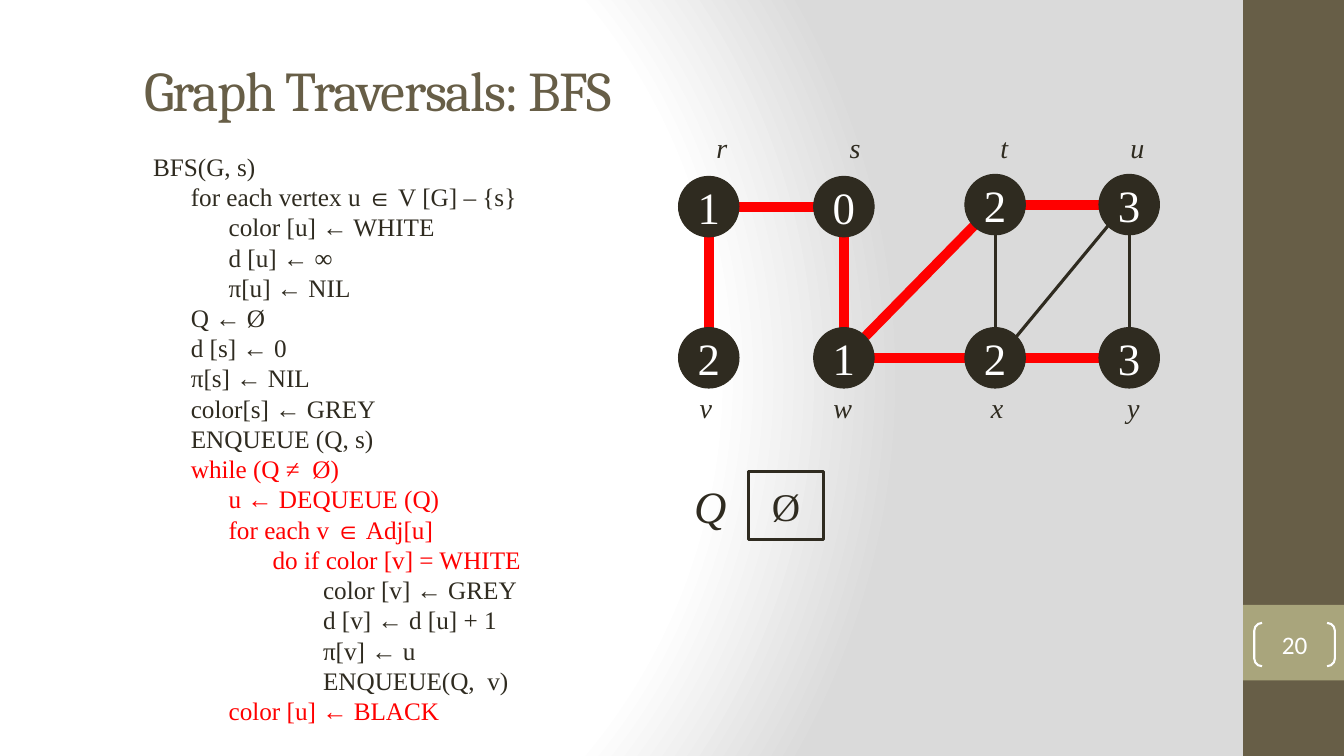
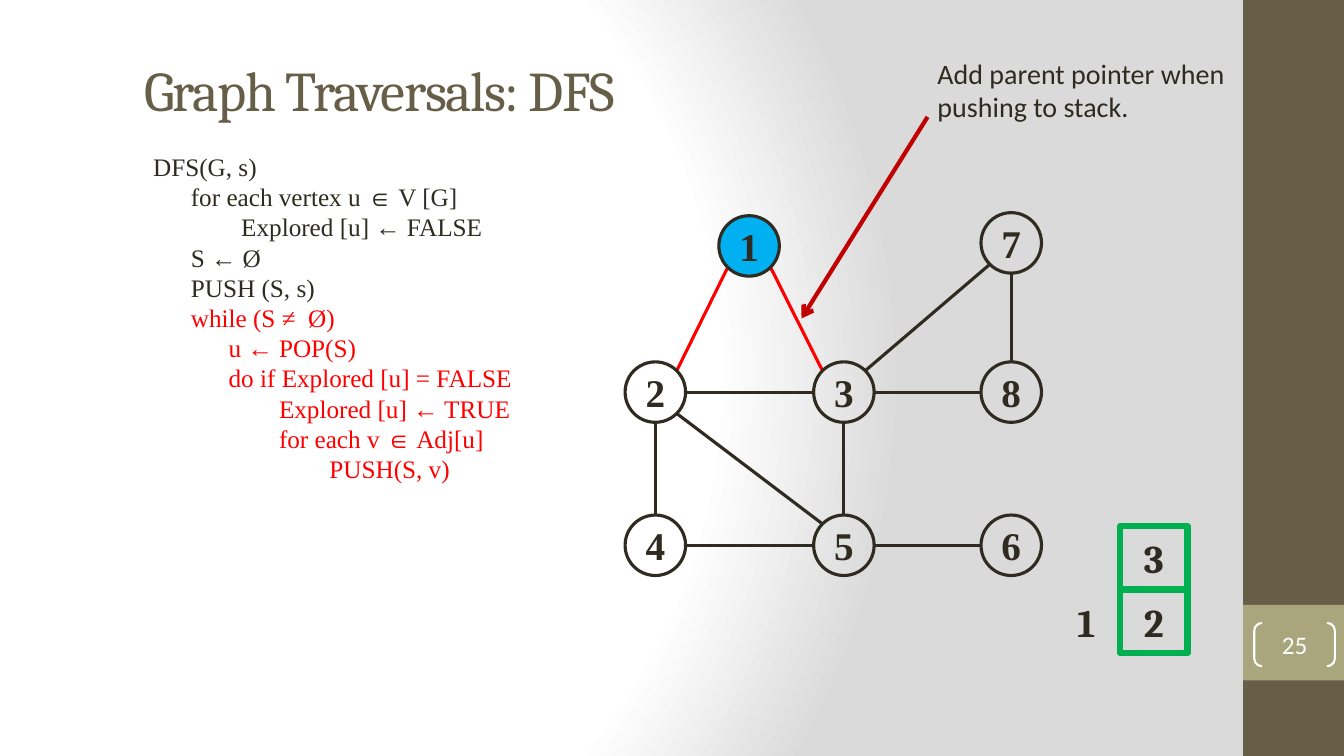
from math import atan2, cos, pi, sin

from lxml.etree import SubElement
from pptx import Presentation
from pptx.dml.color import RGBColor
from pptx.enum.shapes import MSO_CONNECTOR, MSO_SHAPE
from pptx.enum.text import MSO_ANCHOR, PP_ALIGN
from pptx.oxml import parse_xml
from pptx.oxml.ns import nsdecls, qn
from pptx.util import Inches, Pt

INK = RGBColor(0x2F, 0x2B, 0x20)
BROWN = RGBColor(0x67, 0x5E, 0x47)
KHAKI = RGBColor(0xA9, 0xA5, 0x7C)
WHITE = RGBColor(0xFF, 0xFF, 0xFF)
RED = RGBColor(0xFF, 0x00, 0x00)
DARK_RED = RGBColor(0xC0, 0x00, 0x00)
BLUE = RGBColor(0x00, 0xB0, 0xF0)
GREEN = RGBColor(0x00, 0xB0, 0x50)

SERIF, SANS, HEAD = "Times New Roman", "Calibri", "Cambria"
NODE = 0.6  # diameter of a graph node

BACK = f"""<p:bg {nsdecls('p', 'a')}><p:bgPr><a:gradFill rotWithShape="1"><a:gsLst>
<a:gs pos="0"><a:srgbClr val="FFFFFF"/></a:gs>
<a:gs pos="75000"><a:srgbClr val="FFFFFF"/></a:gs>
<a:gs pos="100000"><a:srgbClr val="DADADA"/></a:gs></a:gsLst>
<a:path path="circle"><a:fillToRect l="20000" t="50000" r="100000" b="50000"/></a:path>
</a:gradFill><a:effectLst/></p:bgPr></p:bg>"""

# Pseudocode, in stretches of one colour
BFS = [(INK, """BFS(G, s)
      for each vertex u ∈ V [G] – {s}
            color [u] ← WHITE
            d [u] ← ∞
            π[u] ← NIL
      Q ← Ø
      d [s] ← 0
      π[s] ← NIL
      color[s] ← GREY
      ENQUEUE (Q, s)"""), (RED, """      while (Q ≠  Ø)
            u ← DEQUEUE (Q)
            for each v ∈ Adj[u]
                   do if color [v] = WHITE"""), (INK, """\
                           color [v] ← GREY
                           d [v] ← d [u] + 1
                           π[v] ← u
                           ENQUEUE(Q,  v)"""), (RED, """\
            color [u] ← BLACK""")]
DFS = [(INK, """DFS(G, s)
      for each vertex u ∈ V [G]
              Explored [u] ← FALSE
      S ← Ø
      PUSH (S, s)"""), (RED, """      while (S ≠  Ø)
            u ← POP(S)
            do if Explored [u] = FALSE
                    Explored [u] ← TRUE
                    for each v ∈ Adj[u]
                            PUSH(S, v)""")]


# Basic parts
def add_run(para, text, size, font=SERIF, color=INK, bold=False, ital=False):
    run = para.add_run()
    run.text = text
    face = run.font
    face.size, face.name, face.bold, face.italic = Pt(size), font, bold, ital
    face.color.rgb = color
    return run


def add_box(slide, box, wrap=True, mid=True):
    shape = slide.shapes.add_textbox(*map(Inches, box))
    frame = shape.text_frame
    frame.word_wrap = wrap
    frame.vertical_anchor = MSO_ANCHOR.MIDDLE if mid else MSO_ANCHOR.TOP
    return frame


def add_label(slide, box, text, size, **style):
    para = add_box(slide, box, wrap=False).paragraphs[0]
    para.alignment = PP_ALIGN.CENTER
    add_run(para, text, size, **style)


def add_form(slide, kind, box, fill=None, line=None, width=1, text="", size=18, **style):
    shape = slide.shapes.add_shape(kind, *map(Inches, box))
    shape.shadow.inherit = False
    if fill is None:
        shape.fill.background()
    else:
        shape.fill.solid()
        shape.fill.fore_color.rgb = fill
    if line is None:
        shape.line.fill.background()
    else:
        shape.line.color.rgb = line
        shape.line.width = Pt(width)
    if text:
        frame = shape.text_frame
        frame.word_wrap = False
        frame.vertical_anchor = MSO_ANCHOR.MIDDLE
        frame.paragraphs[0].alignment = PP_ALIGN.CENTER
        add_run(frame.paragraphs[0], text, size, **style)
    return shape


def add_line(slide, start, end, color, width, arrow=False):
    line = slide.shapes.add_connector(MSO_CONNECTOR.STRAIGHT, *map(Inches, (*start, *end)))
    line.line.color.rgb = color
    line.line.width = Pt(width)
    if arrow:
        SubElement(line.line._get_or_add_ln(), qn("a:tailEnd"), type="arrow")
    SubElement(line._element.spPr, qn("a:effectLst"))


def add_edge(slide, start, end, color, width):
    """Join two node centres at the rim points nearest to a 45 degree step."""
    turn = atan2(end[1] - start[1], end[0] - start[0])
    turn = round(turn / (pi / 4)) * pi / 4
    dx, dy = NODE / 2 * cos(turn), NODE / 2 * sin(turn)
    add_line(slide, (start[0] + dx, start[1] + dy), (end[0] - dx, end[1] - dy), color, width)


def add_node(slide, spot, text, size, fill, width, **style):
    box = (spot[0] - NODE / 2, spot[1] - NODE / 2, NODE, NODE)
    add_form(slide, MSO_SHAPE.OVAL, box, fill, INK, width, text, size, **style)


# Shared frame: background, side band, page number and title
def add_slide(deck, title, page):
    slide = deck.slides.add_slide(deck.slide_layouts[6])
    slide._element.cSld.insert(0, parse_xml(BACK))
    add_form(slide, MSO_SHAPE.RECTANGLE, (12.33, 0, 1, 7.5), BROWN)
    add_form(slide, MSO_SHAPE.RECTANGLE, (12.33, 6, 1, 0.75), KHAKI)
    mark = add_form(slide, MSO_SHAPE.DOUBLE_BRACKET, (12.44, 6.18, 0.8, 0.43), None,
                    WHITE, 1.5, page, 18, font=SANS, color=WHITE)
    mark.adjustments[0] = 0.18
    frame = mark.text_frame
    frame.margin_left = frame.margin_right = frame.margin_top = frame.margin_bottom = 0
    para = add_box(slide, (1.33, 0.42, 10.65, 0.92)).paragraphs[0]
    run = add_run(para, title, 40, HEAD, BROWN)
    run.font._element.set("spc", "-100")
    return slide


# Pseudocode column
def add_code(slide, box, parts):
    frame = add_box(slide, box, mid=False)
    lines = [(color, line) for color, text in parts for line in text.split("\n")]
    for i, (color, line) in enumerate(lines):
        para = frame.add_paragraph() if i else frame.paragraphs[0]
        head, sign, tail = line.partition("∈")
        add_run(para, head, 18, color=color)
        if sign:
            add_run(para, sign, 18, "Arial", color)
            add_run(para, tail, 18, color=color)


# Breadth-first graph: names above and below two rows of nodes
def add_bfs(slide, x, y):
    cols = (0.3, 1.64, 3.14, 4.47)
    spots = {}
    for names, tall, shifts in (("rstu", 0.8, (0.13, 0.11, 0.09, 0.08)),
                                ("vwxy", 2.3, (-0.03, -0.01, 0.02, 0.04))):
        for name, col, shift in zip(names, cols, shifts):
            spots[name] = x + col, y + tall - (0.02 if name in "tu" else 0)
            top = y if tall < 1 else y + 2.58
            add_label(slide, (x + col + shift - 0.2, top, 0.4, 0.43), name, 20, ital=True)
    for color, width, pairs in ((INK, 2.25, "tx xu uy"), (RED, 7, "vr rs sw wt wx tu xy")):
        for a, b in pairs.split():
            add_edge(slide, spots[a], spots[b], color, width)
    for name, depth in zip("rstuvwxy", "10232123"):
        add_node(slide, spots[name], depth, 32, INK, 0.75, color=WHITE)


def add_queue(slide, x, y):
    wide, tall = 0.75, 0.67
    add_label(slide, (x, y, wide, tall), "Q", 32, ital=True)
    add_form(slide, MSO_SHAPE.RECTANGLE, (x + wide, y, wide, tall), None, INK, 2.25, "Ø", 28)


# Depth-first graph
def add_dfs(slide, x, y):
    left, mid, right = x + 0.3, x + 2.17, x + 3.83
    top, low, base = y + 0.3, y + 1.78, y + 3.3
    spots = {"1": (x + 1.23, top + 0.03), "7": (right, top), "2": (left, low),
             "3": (mid, low), "8": (right, low), "4": (left, base),
             "5": (mid, base), "6": (right, base)}
    for color, pairs in ((RED, "12 13"), (INK, "23 38 37 78 24 25 35 45 56")):
        for a, b in pairs.split():
            add_edge(slide, spots[a], spots[b], color, 2.25)
    for name, spot in spots.items():
        add_node(slide, spot, name, 28, BLUE if name == "1" else None, 2.25, bold=True)


def add_stack(slide, x, y):
    wide, tall = 0.67, 0.63
    for i, item in enumerate("32"):
        add_form(slide, MSO_SHAPE.RECTANGLE, (x + wide, y + i * tall, wide, tall), None,
                 GREEN, 4.5, item, 28, font=HEAD, bold=True)
    add_label(slide, (x, y + tall, wide, tall), "1", 28, font=HEAD, bold=True)


def add_note(slide, x, y):
    add_line(slide, (x, y + 0.65), (x - 1.25, y + 2.65), DARK_RED, 3, arrow=True)
    para = add_box(slide, (x, y, 3.1, 0.77), mid=False).paragraphs[0]
    add_run(para, "Add parent pointer when pushing to stack.", 20, SANS)


def main():
    deck = Presentation()
    deck.slide_width, deck.slide_height = Inches(13.33), Inches(7.5)

    slide = add_slide(deck, "Graph Traversals: BFS", "20")
    add_code(slide, (1.42, 1.45, 5, 5.86), BFS)
    add_bfs(slide, 6.73, 1.25)
    add_queue(slide, 6.67, 4.68)

    slide = add_slide(deck, "Graph Traversals: DFS", "25")
    add_code(slide, (1.42, 1.45, 4.62, 3.43), DFS)
    add_dfs(slide, 6.2, 2.11)
    add_note(slide, 9.2, 0.51)
    add_stack(slide, 10.44, 5.22)

    deck.save("out.pptx")


if __name__ == "__main__":
    main()
